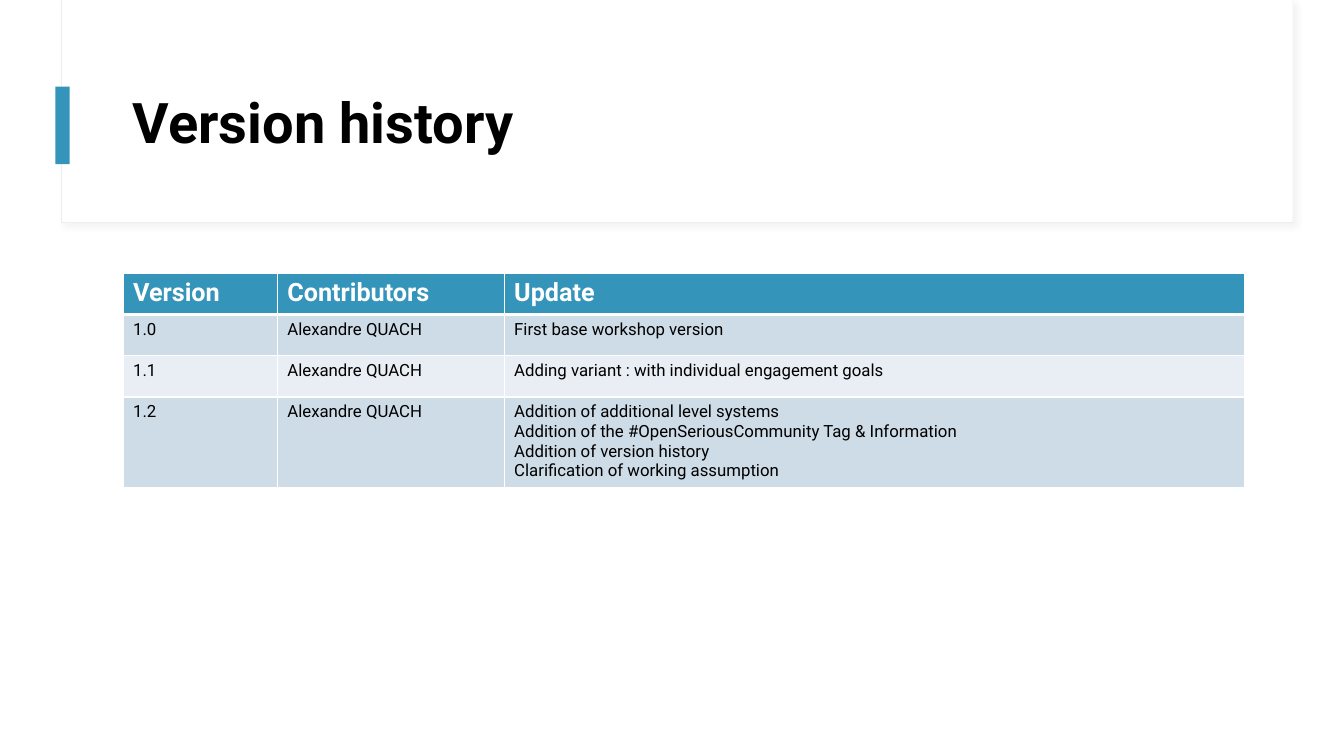
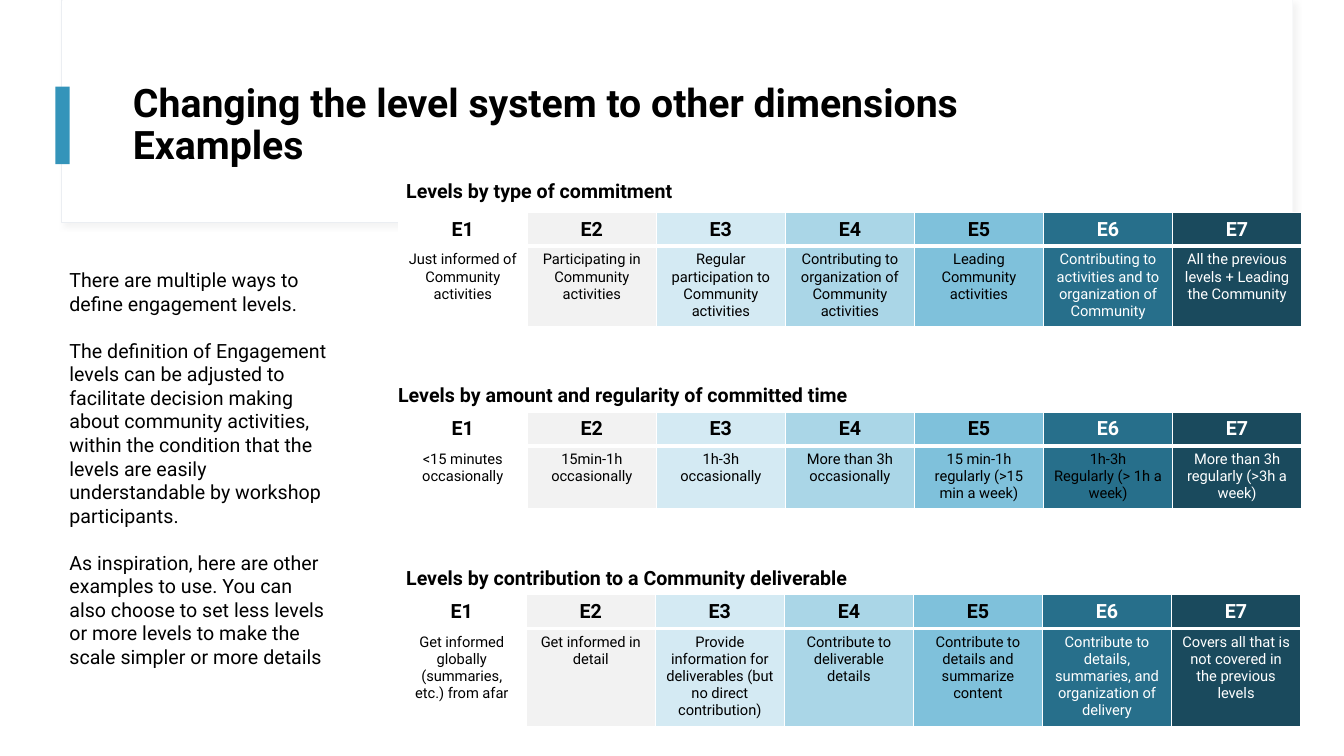
from lxml import etree
from pptx import Presentation
from pptx.dml.color import RGBColor
from pptx.enum.shapes import MSO_SHAPE
from pptx.enum.text import MSO_ANCHOR, PP_ALIGN
from pptx.oxml import parse_xml
from pptx.oxml.ns import nsdecls, qn
from pptx.util import Inches, Pt

FONT = "Roboto"
BLACK, WHITE, ACCENT, FRAME_LINE = "000000", "FFFFFF", "3494BA", "EBEEF2"
BANDS = ["CEDCE7", "E8EEF3"]
LEVEL_FILLS = ["FFFFFF", "F2F2F2", "D4EAF3", "AAD6E7", "7FC1DB", "276F8B", "1A4A5D"]
LEVELS = [f"E{number}" for number in range(1, 8)]
DARK_FROM = 5  # first level whose fill calls for white text

VERSIONS = [
    ("Version", "Contributors", "Update"),
    ("1.0", "Alexandre QUACH", "First base workshop version"),
    ("1.1", "Alexandre QUACH", "Adding variant : with individual engagement goals"),
    ("1.2", "Alexandre QUACH",
     "Addition of additional level systems\n"
     "Addition of the #OpenSeriousCommunity Tag & Information\n"
     "Addition of version history\n"
     "Clarification of working assumption"),
]

INTRO = "\n".join([
    "There are multiple ways to define engagement levels.",
    "The definition of Engagement levels can be adjusted to facilitate decision making "
    "about community activities, within the condition that the levels are easily "
    "understandable by workshop participants.",
    "As inspiration, here are other examples to use. You can also choose to set less "
    "levels or more levels to make the scale simpler or more details",
])

COMMITMENT = [
    "Just informed of Community activities",
    "Participating in Community activities",
    "Regular participation to Community activities",
    "Contributing to organization of Community activities",
    "Leading Community activities",
    "Contributing to activities and to organization of Community",
    "All the previous levels + Leading the Community",
]
TIME = [
    "<15 minutes occasionally",
    "15min-1h occasionally",
    "1h-3h occasionally",
    "More than 3h occasionally",
    "15 min-1h regularly (>15 min a week)",
    "1h-3h\nRegularly (> 1h a week)",
    "More than 3h regularly (>3h a week)",
]
DELIVERABLE = [
    "Get informed globally (summaries, etc.) from afar",
    "Get informed in detail",
    "Provide information for deliverables (but no direct contribution)",
    "Contribute to deliverable details",
    "Contribute to details and summarize content",
    "Contribute to details, summaries, and organization of delivery",
    "Covers all that is not covered in the previous levels",
]


def rgb(hex_code):
    return RGBColor.from_string(hex_code)


def write(frame, text, size=14, color=BLACK, bold=False, align=PP_ALIGN.LEFT,
          spacing=None, gap=0):
    """Fill a text frame: \\n starts a paragraph, \\v breaks a line."""
    frame.word_wrap = True
    for index, line in enumerate(text.split("\n")):
        paragraph = frame.paragraphs[0] if index == 0 else frame.add_paragraph()
        paragraph.text = line
        paragraph.alignment = align
        if spacing:
            paragraph.line_spacing = spacing
        if index and gap:
            paragraph.space_before = Pt(gap)
        for run in paragraph.runs:
            run.font.name = FONT
            run.font.size = Pt(size)
            run.font.bold = bold
            run.font.color.rgb = rgb(color)


def add_text(slide, box, text, anchor=MSO_ANCHOR.TOP, **text_format):
    frame = slide.shapes.add_textbox(*map(Inches, box)).text_frame
    frame.vertical_anchor = anchor
    write(frame, text, **text_format)


def add_panel(slide, box, fill, line=None):
    panel = slide.shapes.add_shape(MSO_SHAPE.RECTANGLE, *map(Inches, box))
    panel.shadow.inherit = False
    panel.fill.solid()
    panel.fill.fore_color.rgb = rgb(fill)
    if line:
        panel.line.color.rgb = rgb(line)
        panel.line.width = Pt(0.75)
    else:
        panel.line.fill.background()
    return panel


def add_soft_shadow(panel):
    effects = panel._element.spPr.find(qn("a:effectLst"))
    effects.append(parse_xml(
        f'<a:outerShdw {nsdecls("a")} blurRad="{Pt(4)}" dist="{Pt(3)}" dir="2700000" '
        'algn="tl" rotWithShape="0"><a:srgbClr val="D9D9D9"><a:alpha val="30000"/>'
        '</a:srgbClr></a:outerShdw>'))


def add_titled_slide(deck, title, size):
    slide = deck.slides.add_slide(deck.slide_layouts[6])
    add_soft_shadow(add_panel(slide, (0.61, 0, 12.21, 2.21), WHITE, FRAME_LINE))
    add_panel(slide, (0.62, 0, 12.2, 2.2), WHITE)
    add_panel(slide, (0.55, 0.86, 0.14, 0.77), ACCENT)
    add_text(slide, (1.22, 0.6, 11.12, 1.29), title, MSO_ANCHOR.MIDDLE,
             size=size, bold=True, spacing=0.9)
    return slide


def set_borders(cell, top, bottom):
    """Draw white borders; top and bottom are widths in points."""
    properties = cell._tc.get_or_add_tcPr()
    for side, width in (("L", 1), ("R", 1), ("T", top), ("B", bottom)):
        border = etree.SubElement(properties, qn(f"a:ln{side}"), w=str(Pt(width)))
        solid = etree.SubElement(border, qn("a:solidFill"))
        etree.SubElement(solid, qn("a:srgbClr"), val=WHITE)


def add_grid(slide, left, top, widths, heights, rows, cell_style):
    """Add a table; cell_style(row, column) gives a fill and the text format."""
    table = slide.shapes.add_table(
        len(rows), len(widths), Inches(left), Inches(top),
        Inches(sum(widths)), Inches(sum(heights))).table
    for column, width in zip(table.columns, widths):
        column.width = Inches(width)
    for row_index, texts in enumerate(rows):
        table.rows[row_index].height = Inches(heights[row_index])
        for column_index, text in enumerate(texts):
            cell = table.cell(row_index, column_index)
            fill, text_format = cell_style(row_index, column_index)
            set_borders(cell, top=3 if row_index == 1 else 1,
                        bottom=3 if row_index == 0 else 1)
            cell.fill.solid()
            cell.fill.fore_color.rgb = rgb(fill)
            write(cell.text_frame, text, **text_format)


def add_version_table(slide, left, top):
    def style(row, column):
        if row == 0:
            return ACCENT, dict(size=18, color=WHITE, bold=True)
        return BANDS[(row - 1) % 2], dict(size=12)

    add_grid(slide, left, top, [1.53, 2.25, 7.34], [0.41, 0.41, 0.41, 0.89],
             VERSIONS, style)


def add_level_scale(slide, left, top, caption, caption_box, descriptions, body_height,
                    white_body_from=DARK_FROM):
    """Place a scale table; caption_box is (dx, dy, width) from its corner."""
    def style(row, column):
        white_from = white_body_from if row else DARK_FROM
        return LEVEL_FILLS[column], dict(
            size=10.5 if row else 14, bold=row == 0, align=PP_ALIGN.CENTER,
            color=WHITE if column >= white_from else BLACK)

    add_grid(slide, left, top, [1.28] * len(LEVELS), [0.33, body_height],
             [LEVELS, descriptions], style)
    dx, dy, width = caption_box
    add_text(slide, (left + dx, top + dy, width, 0.34), caption, bold=True)


def build_version_slide(deck):
    slide = add_titled_slide(deck, "Version history", 40)
    add_version_table(slide, 1.22, 2.71)


def build_levels_slide(deck):
    slide = add_titled_slide(
        deck, "Changing the level system to other dimensions\vExamples", 28)
    add_text(slide, (0.59, 2.61, 2.8, 4.11), INTRO, gap=16.9)
    add_level_scale(slide, 3.95, 2.11, "Levels by type of commitment",
                    (-0.02, -0.38, 3.42), COMMITMENT, 0.79)
    add_level_scale(slide, 3.95, 4.09, "Levels by amount and regularity of committed time",
                    (-0.1, -0.34, 5.83), TIME, 0.62, white_body_from=6)
    add_level_scale(slide, 3.94, 5.9, "Levels by contribution to a Community deliverable",
                    (-0.01, -0.33, 5.33), DELIVERABLE, 0.96)


def main():
    deck = Presentation()
    deck.slide_width, deck.slide_height = Inches(13.33), Inches(7.5)
    build_version_slide(deck)
    build_levels_slide(deck)
    deck.save("out.pptx")


if __name__ == "__main__":
    main()
